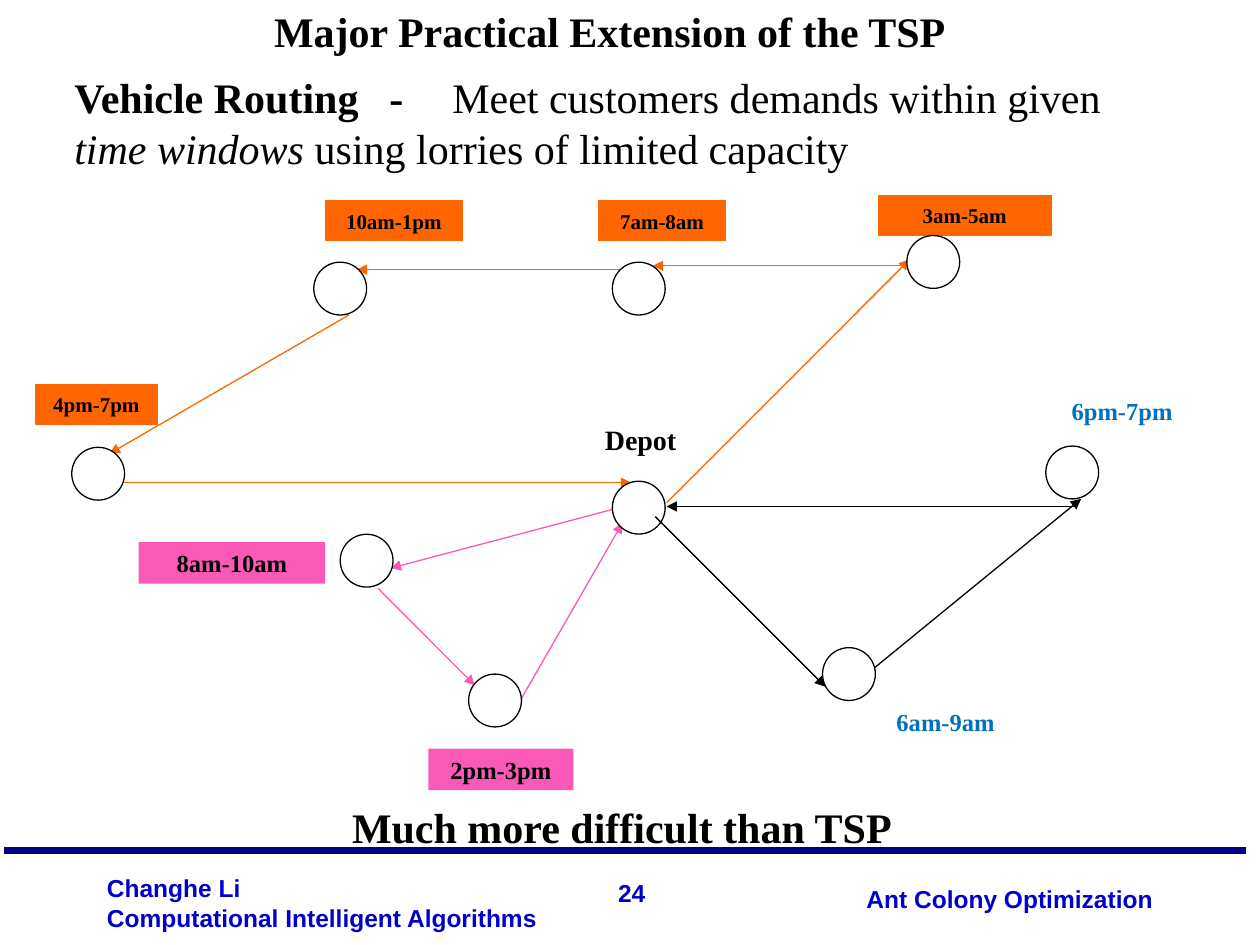
from dataclasses import dataclass

from lxml import etree
from pptx import Presentation
from pptx.dml.color import RGBColor
from pptx.enum.shapes import MSO_CONNECTOR, MSO_SHAPE
from pptx.enum.text import MSO_ANCHOR, MSO_AUTO_SIZE, PP_ALIGN
from pptx.oxml.ns import qn
from pptx.util import Pt

STRAIGHT = MSO_CONNECTOR.STRAIGHT
RECTANGLE, OVAL = MSO_SHAPE.RECTANGLE, MSO_SHAPE.OVAL
LEFT, CENTER, RIGHT = PP_ALIGN.LEFT, PP_ALIGN.CENTER, PP_ALIGN.RIGHT
MIDDLE, TOP = MSO_ANCHOR.MIDDLE, MSO_ANCHOR.TOP


@dataclass(frozen=True)
class Theme:
    serif: str = "Times New Roman"
    sans: str = "Arial"
    black: str = "000000"
    white: str = "FFFFFF"
    orange: str = "FF6600"
    pink: str = "F95AB7"
    blue: str = "0070C0"
    footer_text: str = "0000CC"
    footer_rule: str = "000080"
    heading: int = 24
    depot: int = 16
    window: int = 14
    small_window: int = 12
    footer: int = 14
    thin: float = 0.75
    thick: float = 4.5


@dataclass(frozen=True)
class Box:
    left: float
    top: float
    width: float
    height: float

    def inner(self, left, top, width, height):
        """Box placed relative to this one's top left corner."""
        return Box(self.left + left, self.top + top, width, height)

    def lengths(self):
        return [Pt(v) for v in (self.left, self.top, self.width, self.height)]


THEME = Theme()
STOP_SIZE = 30.2

# Time window labels: text, left, top, width, height; arrows: from x, y, to x, y
PINK_WINDOWS = [
    ("8am-10am", 59.2, 199.8, 106.6, 23.8),
    ("2pm-3pm", 224.8, 317.8, 82.8, 23.8),
]
PINK_LEGS = [
    (333.5, 180.2, 203.2, 214.7),
    (196, 226.2, 251.4, 281.7),
    (278.1, 288.9, 335.7, 188.8),
]
ORANGE_WINDOWS = [
    ("3am-5am", 482, 1.8, 98.6, 22.5),
    ("7am-8am", 322, 4.9, 72.7, 22.5),
    ("10am-1pm", 165.8, 4.9, 78.5, 22.5),
    ("4pm-7pm", 0.2, 109.8, 69.8, 22.5),
]
ORANGE_LEGS = [
    (343.6, 44.1, 183.8, 44.1),
    (518.6, 41.9, 353, 41.9),
    (179.4, 70, 42.6, 149.2),
    (360.9, 177.3, 499.8, 38.3),
    (48.4, 165.8, 340.7, 165.8),
]
BLACK_WINDOWS = [
    ("6am-9am", 481.1, 290.3, 78.5, 23.8),
    ("6pm-7pm", 572.6, 112.5, 97.2, 24.5),
]
BLACK_LEGS = [
    (354.4, 185.2, 451.6, 282.4),
    (594.9, 179.4, 360.9, 179.4),
    (479.7, 271.6, 597.8, 175.1),
]
STOPS = [
    (21, 145.6), (329.9, 165), (498.2, 24.6), (329.9, 39.8), (159.3, 39.8),
    (174.4, 195.3), (247.8, 275.2), (450, 260.1), (577.6, 144.9),
]


def rgb(code):
    return RGBColor.from_string(code)


def add_run(paragraph, text, size, color=THEME.black, face=THEME.serif, bold=True, italic=False):
    run = paragraph.add_run()
    run.text = text
    font = run.font
    font.name, font.size, font.bold, font.italic = face, Pt(size), bold, italic
    font.color.rgb = rgb(color)


def prepare_frame(shape, anchor=MIDDLE, wrap=True):
    frame = shape.text_frame
    frame.word_wrap = wrap
    frame.auto_size = MSO_AUTO_SIZE.NONE
    frame.vertical_anchor = anchor
    return frame


def place(shape, box):
    shape.left, shape.top, shape.width, shape.height = box.lengths()


def add_label(slide, box, lines, align, size, **style):
    frame = prepare_frame(slide.shapes.add_textbox(*box.lengths()))
    for index, line in enumerate(lines):
        paragraph = frame.add_paragraph() if index else frame.paragraphs[0]
        paragraph.alignment = align
        add_run(paragraph, line, size, **style)


def add_filled(slide, preset, box, fill, outline=None):
    shape = slide.shapes.add_shape(preset, *box.lengths())
    shape.shadow.inherit = False
    shape.fill.solid()
    shape.fill.fore_color.rgb = rgb(fill)
    if outline:
        shape.line.color.rgb = rgb(outline)
        shape.line.width = Pt(THEME.thin)
    else:
        shape.line.fill.background()
    return shape


def add_line(slide, box, ends, color, width, arrow=False):
    x1, y1, x2, y2 = ends
    line = slide.shapes.add_connector(
        STRAIGHT, Pt(box.left + x1), Pt(box.top + y1), Pt(box.left + x2), Pt(box.top + y2))
    line.line.color.rgb = rgb(color)
    line.line.width = Pt(width)
    if arrow:
        etree.SubElement(line.line._get_or_add_ln(), qn("a:tailEnd"), type="triangle")
    etree.SubElement(line._element.spPr, qn("a:effectLst"))


def add_heading(slide, box):
    title = slide.shapes.title
    place(title, box)
    paragraph = prepare_frame(title, TOP, wrap=False).paragraphs[0]
    paragraph.alignment = CENTER
    add_run(paragraph, "Major Practical Extension of the TSP", THEME.heading)


def add_definition(slide, box):
    body = slide.placeholders[1]
    place(body, box)
    paragraph = prepare_frame(body, TOP).paragraphs[0]
    paragraph.alignment = LEFT
    paragraph.space_before = Pt(0)
    properties = paragraph._p.get_or_add_pPr()
    properties.set("marL", "0")
    properties.set("indent", "0")
    etree.SubElement(properties, qn("a:buNone"))
    tabs = etree.SubElement(properties, qn("a:tabLst"))
    for position in (180.5, 206.3):
        etree.SubElement(tabs, qn("a:tab"), pos=str(Pt(position)), algn="l")
    add_run(paragraph, "Vehicle Routing\t-\t", THEME.heading)
    add_run(paragraph, "Meet customers demands within given ", THEME.heading, bold=False)
    add_run(paragraph, "time windows", THEME.heading, bold=False, italic=True)
    add_run(paragraph, " using lorries of limited capacity", THEME.heading, bold=False)


def add_route(slide, box, legs, windows, color, fill, size, text_color=THEME.black, outline=None):
    """One lorry's round trip with the time windows of its customers."""
    for leg in legs:
        add_line(slide, box, leg, color, THEME.thin, arrow=True)
    for text, *area in windows:
        window = add_filled(slide, RECTANGLE, box.inner(*area), fill, outline)
        paragraph = prepare_frame(window).paragraphs[0]
        paragraph.alignment = CENTER
        add_run(paragraph, text, size, text_color)


def add_route_map(slide, box):
    add_route(slide, box, PINK_LEGS, PINK_WINDOWS, THEME.pink, THEME.pink, THEME.window)
    add_route(slide, box, ORANGE_LEGS, ORANGE_WINDOWS, THEME.orange, THEME.orange,
              THEME.small_window, outline=THEME.orange)
    add_label(slide, box.inner(301.8, 128, 88.6, 26.6), ["Depot"], CENTER, THEME.depot)
    for left, top in STOPS:
        stop_box = box.inner(left, top, STOP_SIZE, STOP_SIZE)
        add_filled(slide, OVAL, stop_box, THEME.white, THEME.black)
    add_route(slide, box, BLACK_LEGS, BLACK_WINDOWS, THEME.black, THEME.white,
              THEME.window, THEME.blue)


def add_footer(slide, box):
    style = dict(size=THEME.footer, color=THEME.footer_text, face=THEME.sans)
    add_line(slide, box, (0, 0, box.width, 0), THEME.footer_rule, THEME.thick)
    add_label(slide, box.inner(51.8, 9.4, 270, 41), ["Changhe Li", "Computational Intelligent Algorithms"], LEFT, **style)
    add_label(slide, box.inner(342.7, 12.2, 31, 24), ["24"], RIGHT, **style)
    add_label(slide, box.inner(424, 15.8, 239.8, 24), ["Ant Colony Optimization"], RIGHT, **style)


def main():
    deck = Presentation()
    deck.slide_width, deck.slide_height = Pt(720), Pt(540)
    slide = deck.slides.add_slide(deck.slide_layouts[1])
    add_footer(slide, Box(2.2, 486, 709.9, 54))
    add_heading(slide, Box(149, -0.7, 399, 36))
    add_definition(slide, Box(35.3, 37.4, 627.8, 64.8))
    add_route_map(slide, Box(20, 110, 670, 345))
    add_label(slide, Box(103, 454.5, 504.7, 36), ["Much more difficult than TSP"], CENTER, THEME.heading)
    deck.save("out.pptx")


if __name__ == "__main__":
    main()
